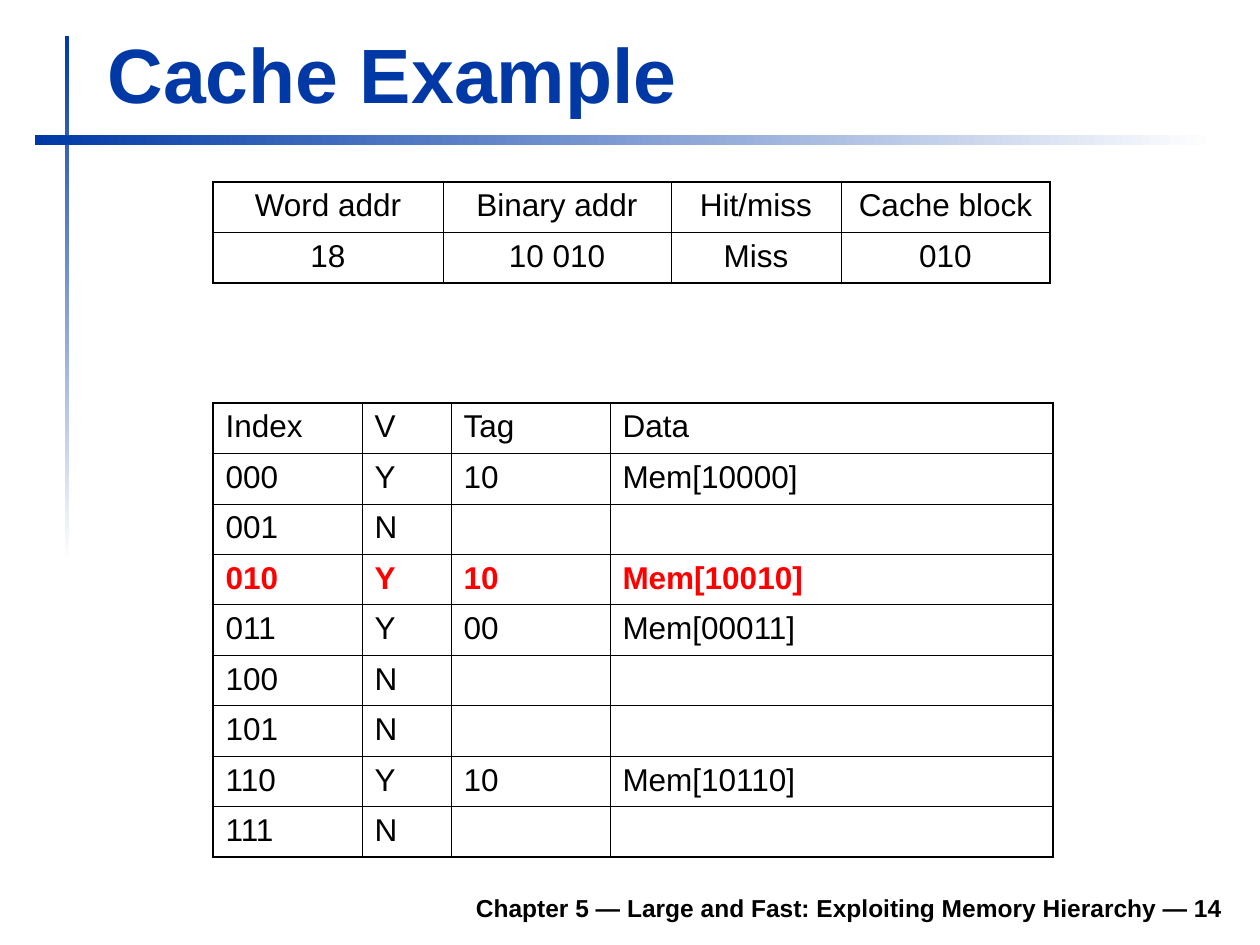
from lxml import etree
from pptx import Presentation
from pptx.dml.color import RGBColor
from pptx.enum.shapes import MSO_SHAPE
from pptx.enum.text import MSO_ANCHOR, PP_ALIGN
from pptx.oxml.ns import qn
from pptx.util import Emu, Inches, Pt

PX = 914400 // 126
COLORS = {"blue": "0039A6", "white": "FFFFFF", "black": "000000", "red": "FF0000"}
THIN, HEADER, OUTER = 0.45, 0.74, 1.08


def px(*lengths):
    return [Emu(n * PX) for n in lengths]


def rgb(name):
    return RGBColor.from_string(COLORS[name])


class Deck:
    font = "Arial"

    def __init__(self):
        self.prs = Presentation()
        self.prs.slide_width, self.prs.slide_height = Inches(10), Inches(7.5)
        self.s = self.prs.slides.add_slide(self.prs.slide_layouts[5])

    def set_text(self, tf, text, size, color="black", bold=False, align=PP_ALIGN.LEFT):
        tf.text = text
        p = tf.paragraphs[0]
        p.alignment = align
        for r in p.runs:
            r.font.name, r.font.size, r.font.bold = self.font, Pt(size), bold
            r.font.color.rgb = rgb(color)
        return p

    def bar(self, x, y, w, h, angle):
        sp = self.s.shapes.add_shape(MSO_SHAPE.RECTANGLE, *px(x, y, w, h))
        sp.shadow.inherit = False
        sp.line.fill.background()
        sp.fill.gradient()
        sp.fill.gradient_angle = angle
        for stop, color in zip(sp.fill.gradient_stops, ("blue", "white")):
            stop.color.rgb = rgb(color)

    def title(self, text, x, y, w, h):
        sp = self.s.shapes.title
        sp.left, sp.top, sp.width, sp.height = px(x, y, w, h)
        sp.text_frame.vertical_anchor = MSO_ANCHOR.BOTTOM
        self.set_text(sp.text_frame, text, 44, "blue", True)

    def footer(self, text, x, y, w, h):
        tf = self.s.shapes.add_textbox(*px(x, y, w, h)).text_frame
        tf.word_wrap = True
        tf.vertical_anchor = MSO_ANCHOR.BOTTOM
        self.set_text(tf, text, 14, bold=True, align=PP_ALIGN.RIGHT)

    def border(self, cell, widths):
        tc_pr = cell._tc.get_or_add_tcPr()
        for i, (side, width) in enumerate(widths.items()):
            ln = etree.Element(qn(f"a:ln{side}"), w=str(Pt(width)))
            fill = etree.SubElement(ln, qn("a:solidFill"))
            etree.SubElement(fill, qn("a:srgbClr"), val=COLORS["black"])
            tc_pr.insert(i, ln)

    def table(self, rows, x, y, col_widths, height, align=PP_ALIGN.LEFT, marked=None):
        n_rows, n_cols = len(rows), len(col_widths)
        frame = self.s.shapes.add_table(n_rows, n_cols, *px(x, y, sum(col_widths), height))
        tbl = frame.table
        tbl.first_row = tbl.horz_banding = False
        for col, width in zip(tbl.columns, px(*col_widths)):
            col.width = width
        for i, row in enumerate(rows):
            for j, text in enumerate(row):
                cell = tbl.cell(i, j)
                cell.fill.background()
                color = "red" if i == marked else "black"
                p = self.set_text(cell.text_frame, text, 18, color, i == marked, align)
                p.space_before = Pt(4.5)
                self.border(cell, {
                    "L": OUTER if j == 0 else THIN,
                    "R": OUTER if j == n_cols - 1 else THIN,
                    "T": OUTER if i == 0 else HEADER if i == 1 else THIN,
                    "B": OUTER if i == n_rows - 1 else HEADER if i == 0 else THIN,
                })


deck = Deck()

# Crossed bars, footer and title
deck.bar(65, 36, 4, 525, 270)
deck.bar(35, 135, 1180, 10, 0)
deck.footer("Chapter 5 — Large and Fast: Exploiting Memory Hierarchy — 14", 233, 880, 1002, 49)
deck.title("Cache Example", 95, 20, 1138, 105)

# Cache contents, with the newly filled block marked
deck.table([
    ("Index", "V", "Tag", "Data"),
    ("000", "Y", "10", "Mem[10000]"),
    ("001", "N", "", ""),
    ("010", "Y", "10", "Mem[10010]"),
    ("011", "Y", "00", "Mem[00011]"),
    ("100", "N", "", ""),
    ("101", "N", "", ""),
    ("110", "Y", "10", "Mem[10110]"),
    ("111", "N", "", ""),
], 213, 403, (149, 89, 159, 443), 454, marked=3)

# Memory access
deck.table([
    ("Word addr", "Binary addr", "Hit/miss", "Cache block"),
    ("18", "10 010", "Miss", "010"),
], 213, 182, (230, 228, 170, 209), 101, align=PP_ALIGN.CENTER)

deck.prs.save("out.pptx")
